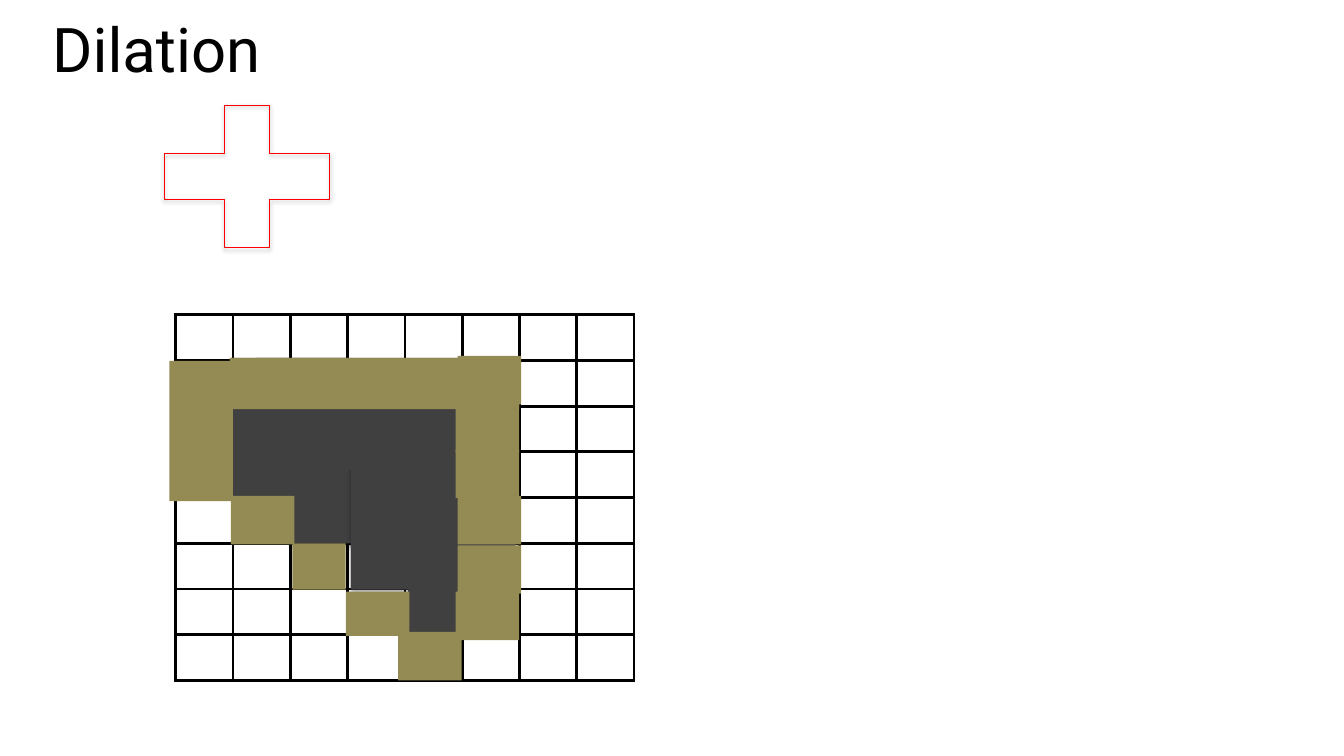
from dataclasses import dataclass

from lxml.etree import SubElement
from pptx import Presentation
from pptx.dml.color import RGBColor
from pptx.enum.shapes import MSO_SHAPE
from pptx.enum.text import MSO_ANCHOR
from pptx.oxml.ns import qn
from pptx.util import Pt


@dataclass(frozen=True)
class Theme:
    font: str = "Roboto"
    title_size: float = 44
    ink: str = "000000"
    object_fill: str = "404040"
    dilated_fill: str = "948A54"
    element_line: str = "FF0000"
    element_width: float = 0.75
    grid_width: float = 2.25


THEME = Theme()
GRID_COUNT = 8
COL_WIDTH, ROW_HEIGHT = 40.95, 32.67
PIXEL = (45.4, 34.6)

# Binary object: left, top, width, height; the first group casts a shadow
SHADED_PARTS = [
    (245.5, 289.4, 88.6, 95.8),
    (208.1, 288, 82.8, 100.1),
    (250.6, 321.1, 41.8, 100.1),
]
OBJECT_PARTS = [
    (164.9, 289.4, 79.9, 66.2),
    (291.6, 374.4, 41.8, 79.9),
    (164.2, 255.6, 82.8, 79.9),
    (182.9, 255.6, 147.6, 79.9),
    (259.2, 257.8, 108.7, 162),
    (311.8, 269.3, 56.2, 183.6),
]
# Pixels added by dilation
DILATED_PARTS = [
    (284.4, 451.4, *PIXEL),
    (247, 422.6, 45.4, 31.7),
    (208.8, 388.1, 38.2, 33.1),
    (164.9, 354.2, *PIXEL),
    (325.4, 422.6, *PIXEL),
    (326.9, 389.5, *PIXEL),
    (326.9, 354.2, *PIXEL),
    (325.4, 321.1, *PIXEL),
    (325.4, 288.7, *PIXEL),
    (326.9, 254.2, *PIXEL),
    (121, 257.8, 45.4, 100.1),
    (164.2, 255.6, 206.6, 36.7),
]


def add_title(s, text, box):
    tf = s.shapes.add_textbox(*map(Pt, box)).text_frame
    tf.word_wrap = True
    tf.vertical_anchor = MSO_ANCHOR.TOP
    p = tf.paragraphs[0]
    p.line_spacing = 0.8
    r = p.add_run()
    r.text = text
    font_format = {"name": THEME.font, "size": Pt(THEME.title_size)}
    for name, value in font_format.items():
        setattr(r.font, name, value)
    r.font.color.rgb = RGBColor.from_string(THEME.ink)


def add_cell_borders(cell):
    tc_pr = cell._tc.get_or_add_tcPr()
    for i, side in enumerate(("lnL", "lnR", "lnT", "lnB")):
        ln = tc_pr.makeelement(qn(f"a:{side}"), {"w": str(Pt(THEME.grid_width))})
        fill = SubElement(ln, qn("a:solidFill"))
        SubElement(fill, qn("a:srgbClr"), val=THEME.ink)
        tc_pr.insert(i, ln)


def add_grid(s, left, top):
    size = (GRID_COUNT * COL_WIDTH, GRID_COUNT * ROW_HEIGHT)
    table = s.shapes.add_table(
        GRID_COUNT, GRID_COUNT, *map(Pt, (left, top, *size))).table
    for name in ("first_row", "horz_banding"):
        setattr(table, name, False)
    for col in table.columns:
        col.width = Pt(COL_WIDTH)
    for row in table.rows:
        row.height = Pt(ROW_HEIGHT)
    for cell in table.iter_cells():
        cell.fill.background()
        add_cell_borders(cell)


def add_shadow(sp):
    effects = sp._element.spPr.find(qn("a:effectLst"))
    shadow = SubElement(effects, qn("a:outerShdw"), blurRad=str(Pt(3.15)),
                        dist=str(Pt(1.8)), dir="5400000", rotWithShape="0")
    color = SubElement(shadow, qn("a:srgbClr"), val=THEME.ink)
    SubElement(color, qn("a:alpha"), val="35000")


def add_block(s, box, fill=None, line=None, kind=MSO_SHAPE.RECTANGLE, shadow=False):
    sp = s.shapes.add_shape(kind, *map(Pt, box))
    sp.shadow.inherit = False
    if fill:
        sp.fill.solid()
        sp.fill.fore_color.rgb = RGBColor.from_string(fill)
    else:
        sp.fill.background()
    if line:
        sp.line.color.rgb = RGBColor.from_string(line)
        sp.line.width = Pt(THEME.element_width)
    else:
        sp.line.fill.background()
    if shadow:
        add_shadow(sp)


def main():
    prs = Presentation()
    prs.slide_width, prs.slide_height = Pt(960), Pt(540)
    s = prs.slides.add_slide(prs.slide_layouts[6])

    # Pixel grid and title
    add_grid(s, 125.5, 224.8)
    add_title(s, "Dilation", (30.2, 14.4, 907.2, 83.5))

    # Object, then its dilated rim
    for box in SHADED_PARTS:
        add_block(s, box, THEME.object_fill, shadow=True)
    for box in OBJECT_PARTS:
        add_block(s, box, THEME.object_fill)
    for box in DILATED_PARTS:
        add_block(s, box, THEME.dilated_fill)

    # Structuring element
    add_block(s, (96.5, 56.9, 159.8, 138.2), line=THEME.element_line,
              kind=MSO_SHAPE.MATH_PLUS, shadow=True)

    prs.save("out.pptx")


if __name__ == "__main__":
    main()
